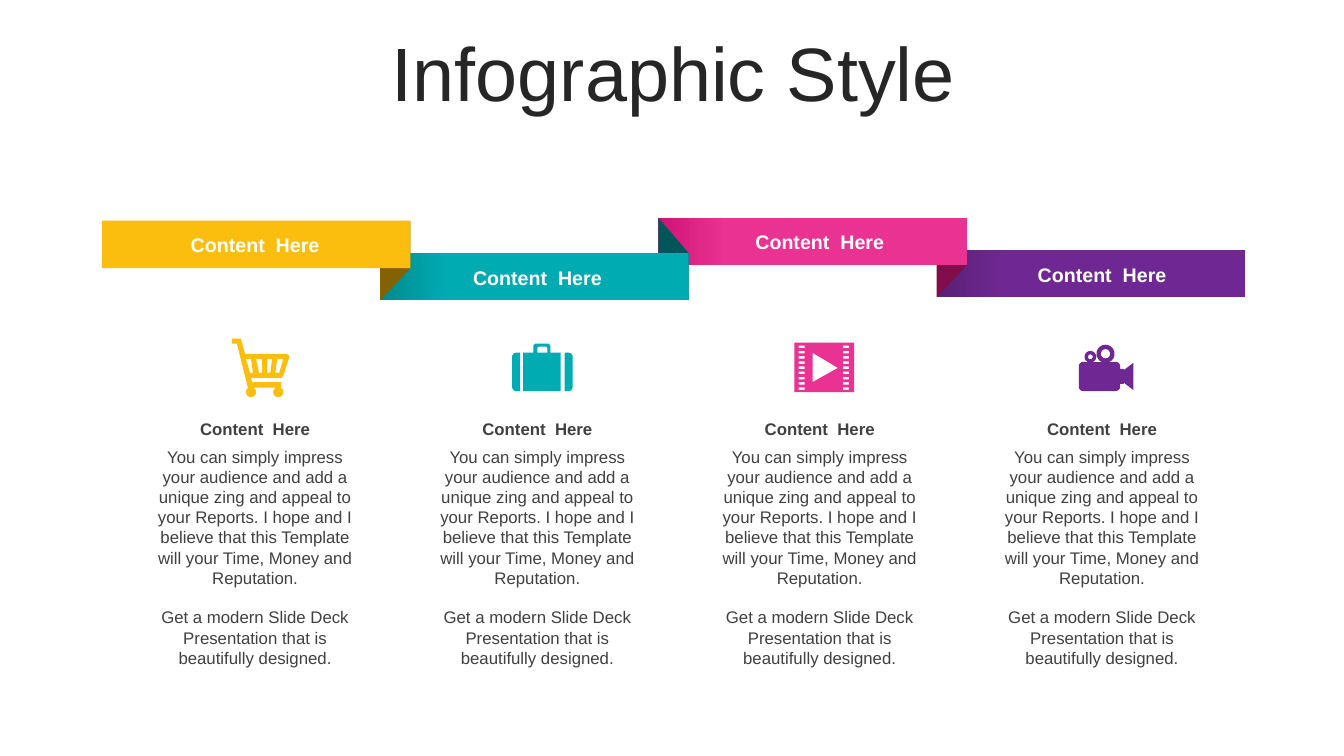
from dataclasses import dataclass
from math import cos, radians, sin

from pptx import Presentation
from pptx.dml.color import RGBColor as Rgb
from pptx.enum.shapes import MSO_SHAPE as Preset
from pptx.enum.text import MSO_ANCHOR as Anchor, MSO_AUTO_SIZE as AutoSize, PP_ALIGN as Align
from pptx.util import Inches, Pt


@dataclass(frozen=True)
class Theme:
    font: str = "Arial"
    title_color: str = "262626"
    text_color: str = "404040"
    label_color: str = "FFFFFF"
    title_size: int = 54
    label_size: int = 14
    body_size: int = 12
    paragraph_gap: int = 14


THEME = Theme()

# Content: heading, banner top, colour, gradient end, fold colour and icon of each column
TITLE = "Infographic Style"
BODY = [
    "You can simply impress your audience and add a unique zing and appeal to your Reports. "
    "I hope and I believe that this Template will your Time, Money and Reputation.",
    "Get a modern Slide Deck Presentation that is beautifully designed.",
]
COLUMNS = [
    ("Content  Here", 2.19, "FCBE0E", None, "836202", "cart"),
    ("Content  Here", 2.51, "00ACB2", "008A8E", "005659", "suitcase"),
    ("Content  Here", 2.16, "EA3293", "CE1577", "810D4A", "film"),
    ("Content  Here", 2.48, "6F2893", "592076", None, "camera"),
]

# Layout in inches
BANNER_LEFT, BANNER_STEP, BANNER_WIDTH, BANNER_HEIGHT = 1.01, 2.76, 3.06, 0.47
COLUMN_LEFT, COLUMN_STEP, COLUMN_WIDTH = 1.48, 2.8, 2.2
ICON_PLACES = {"cart": (2.3, 3.36), "suitcase": (5.08, 3.41),
               "film": (7.88, 3.4), "camera": (10.7, 3.42)}


# Icon outlines in hundredths of an inch
def arc(center_x, center_y, radius, start, end, steps=16):
    angles = [radians(start + (end - start) * n / steps) for n in range(steps + 1)]
    return [(center_x + radius * cos(a), center_y + radius * sin(a)) for a in angles]


def rectangle(left, top, width, height):
    right, bottom = left + width, top + height
    return [(left, top), (right, top), (right, bottom), (left, bottom)]


def cart():
    frame = [(9, 0), (13, 15), (54, 15), (56, 16), (57, 18), (51, 37), (49, 39),
             (19, 39), (20, 43), (49, 43), (49, 48)]
    wheels = arc(46, 53, 5, -60, 240) + arc(19, 53, 5, -60, 240)
    handle = [(16, 49), (5, 5), (0, 5), (0, 0)]
    slots = [[(45, 20), (43, 34), (47, 34), (51, 20)], [(35, 20), (35, 34), (38, 34), (40, 20)],
             [(24, 20), (27, 34), (30, 34), (30, 20)], [(14, 20), (18, 34), (21, 34), (19, 20)]]
    return [frame + wheels + handle, *slots]


def suitcase():
    left_shell = [(8, 9), (8, 47)] + arc(4, 43, 4, 90, 180) + arc(4, 13, 4, 180, 270)
    right_shell = [(60 - x, y) for x, y in left_shell]
    middle = [(23, 0), (36, 0), (38, 2), (38, 9), (48, 9), (48, 47),
              (11, 47), (11, 9), (21, 9), (21, 2)]
    grip = [(26, 3), (34, 3), (35, 4), (35, 9), (25, 9), (25, 4)]
    return [left_shell, right_shell, middle, grip]


def film():
    holes = [rectangle(x, 3 + 5.15 * row, 6, 2.5) for row in range(9) for x in (4, 48)]
    play = [(18, 10), (18, 39), (43, 25)]
    return [rectangle(0, 0, 59, 49), play, *holes]


def camera():
    lens = [(41, 24), (44, 24), (45, 25), (54, 18), (54, 45), (45, 38), (44, 39), (41, 39)]
    body = (arc(26.5, 9, 9, 112, 428) + arc(36.5, 21.5, 4.5, -90, 0) + lens
            + arc(36.5, 41.5, 4.5, 0, 90) + arc(4.5, 41.5, 4.5, 90, 180)
            + arc(4.5, 21.5, 4.5, 180, 270) + arc(11.5, 12, 5.8, 112, 428))
    return [body, arc(26.5, 9, 4.6, 0, 360), arc(11.5, 12, 2.4, 0, 360)]


ICONS = {"cart": cart, "suitcase": suitcase, "film": film, "camera": camera}


# Drawing helpers
def paint(shape, color, end_color=None):
    shape.shadow.inherit = False
    shape.line.fill.background()
    if end_color is None:
        shape.fill.solid()
        shape.fill.fore_color.rgb = Rgb.from_string(color)
        return
    shape.fill.gradient()
    shape.fill.gradient_angle = 180
    for stop, position, shade in zip(shape.fill.gradient_stops, (0.78, 1), (color, end_color)):
        stop.position = position
        stop.color.rgb = Rgb.from_string(shade)


def add_outline(page, contours, color):
    contours = [[(Inches(x), Inches(y)) for x, y in contour] for contour in contours]
    builder = page.shapes.build_freeform(*contours[0][0])
    builder.add_line_segments(contours[0][1:], close=True)
    for contour in contours[1:]:
        builder.move_to(*contour[0])
        builder.add_line_segments(contour[1:], close=True)
    paint(builder.convert_to_shape(), color)


def style(para, size, color, bold=False):
    para.alignment = Align.CENTER
    para.font.name, para.font.size, para.font.bold = THEME.font, Pt(size), bold
    para.font.color.rgb = Rgb.from_string(color)


def add_text(page, place, lines, size, color, bold=False, anchor=Anchor.MIDDLE):
    frame = page.shapes.add_textbox(*map(Inches, place)).text_frame
    frame.word_wrap = True
    frame.auto_size = AutoSize.SHAPE_TO_FIT_TEXT
    frame.vertical_anchor = anchor
    frame.margin_left, frame.margin_right = 0, Inches(0.1)
    frame.margin_top = frame.margin_bottom = Inches(0.05)
    for number, line in enumerate(lines):
        para = frame.add_paragraph() if number else frame.paragraphs[0]
        para.text = line
        style(para, size, color, bold)
        if number:
            para.space_before = Pt(THEME.paragraph_gap)


def add_title(page):
    title = page.shapes.title
    title.left, title.top, title.width, title.height = map(Inches, (0.35, 0.37, 12.66, 0.79))
    title.text_frame.text = TITLE
    title.text_frame.auto_size = AutoSize.NONE
    title.text_frame.vertical_anchor = Anchor.MIDDLE
    para = title.text_frame.paragraphs[0]
    para.line_spacing = 0.9
    style(para, THEME.title_size, THEME.title_color)


def add_ribbon(page):
    # Right to left, so each fold lies over the banner that follows it
    for index, (_, top, color, end_color, fold_color, _) in reversed(list(enumerate(COLUMNS))):
        left = BANNER_LEFT + BANNER_STEP * index
        if fold_color:
            right, next_left = left + BANNER_WIDTH, left + BANNER_STEP
            next_top = COLUMNS[index + 1][1]
            fold = [(right, top), (right, top + BANNER_HEIGHT),
                    (next_left, next_top + BANNER_HEIGHT), (next_left, next_top)]
            add_outline(page, [fold], fold_color)
        place = map(Inches, (left, top, BANNER_WIDTH, BANNER_HEIGHT))
        paint(page.shapes.add_shape(Preset.RECTANGLE, *place), color, end_color)


def add_columns(page):
    for index, (heading, top, color, _, _, icon) in enumerate(COLUMNS):
        left = COLUMN_LEFT + COLUMN_STEP * index
        add_text(page, (left + 0.09, top + 0.07, 2.02, 0.34), [heading],
                 THEME.label_size, THEME.label_color, bold=True)
        icon_left, icon_top = ICON_PLACES[icon]
        contours = [[(icon_left + x / 100, icon_top + y / 100) for x, y in contour]
                    for contour in ICONS[icon]()]
        add_outline(page, contours, color)
        add_text(page, (left, 4.1, COLUMN_WIDTH, 0.3), [heading],
                 THEME.body_size, THEME.text_color, bold=True)
        add_text(page, (left, 4.38, COLUMN_WIDTH, 2.32), BODY,
                 THEME.body_size, THEME.text_color, anchor=Anchor.TOP)


def main():
    deck = Presentation()
    deck.slide_width, deck.slide_height = Inches(13.33), Inches(7.5)
    page = deck.slides.add_slide(deck.slide_layouts[5])
    add_title(page)
    add_ribbon(page)
    add_columns(page)
    deck.save("out.pptx")


if __name__ == "__main__":
    main()
